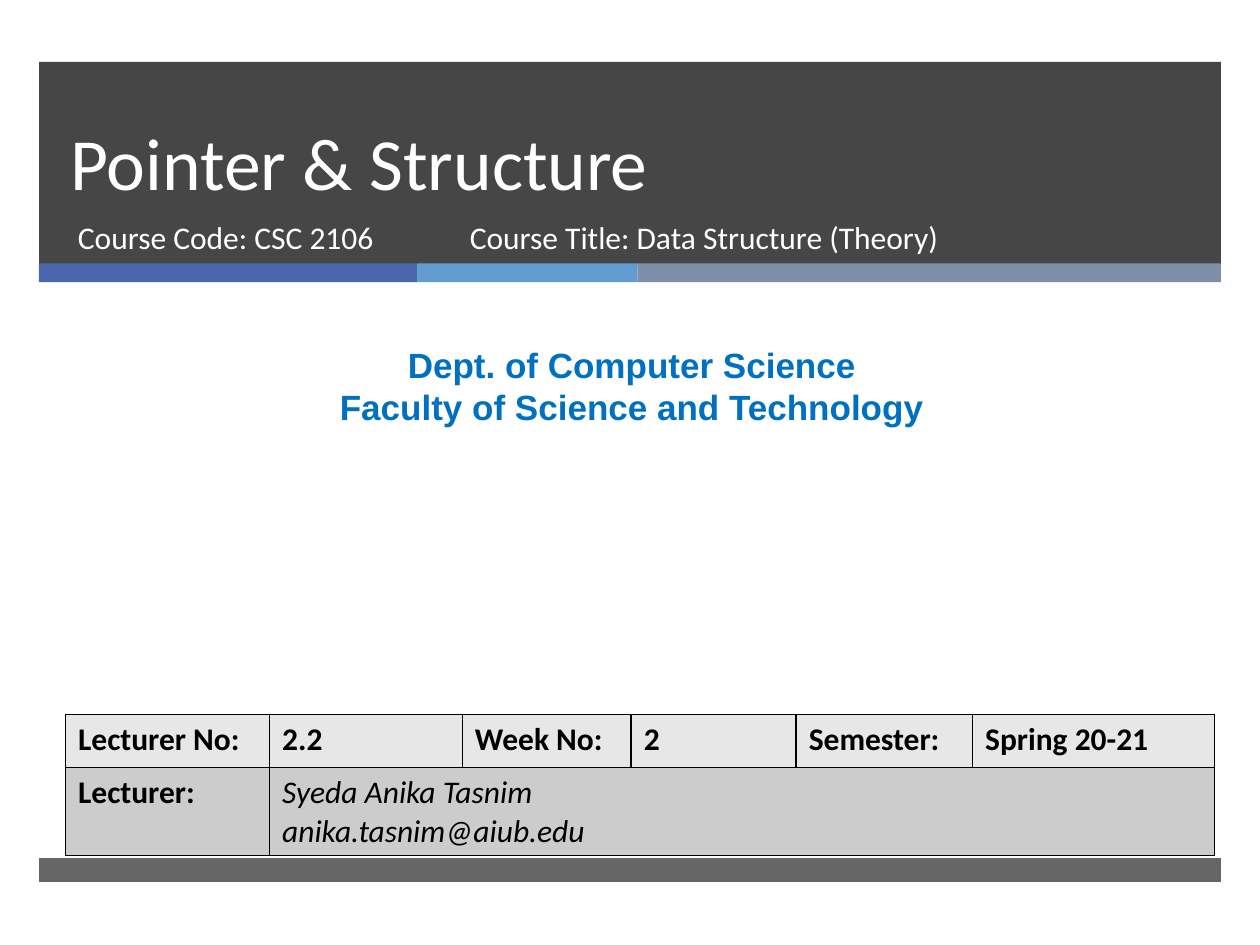
from dataclasses import dataclass

from lxml import etree
from pptx import Presentation
from pptx.dml.color import RGBColor
from pptx.enum.shapes import MSO_SHAPE
from pptx.enum.text import MSO_ANCHOR, PP_ALIGN
from pptx.oxml import parse_xml
from pptx.oxml.ns import nsdecls, qn
from pptx.util import Inches, Pt

RECTANGLE = MSO_SHAPE.RECTANGLE
TOP, BOTTOM = MSO_ANCHOR.TOP, MSO_ANCHOR.BOTTOM
LEFT, CENTER = PP_ALIGN.LEFT, PP_ALIGN.CENTER

GRID_UNIT = 0.1
GRID_COLUMNS, GRID_ROWS = 100, 75


@dataclass(frozen=True)
class Theme:
    dark: str = "262626"
    white: str = "FFFFFF"
    black: str = "000000"
    department: str = "0070C0"
    stripes: tuple = ("4A66AC", "629DD1", "7F8FA9")
    table_rows: tuple = ("E7E7E7", "CCCCCC")
    body_font: str = "Calibri"
    department_font: str = "Arial"
    title_size: int = 42
    title_spacing: int = 46
    department_size: int = 20
    body_size: int = 18
    border_width: int = 1


@dataclass(frozen=True)
class Box:
    column: float
    row: float
    columns: float
    rows: float

    def inside(self, column, row, columns, rows):
        return Box(self.column + column, self.row + row, columns, rows)

    def lengths(self):
        return [units(n) for n in (self.column, self.row, self.columns, self.rows)]


THEME = Theme()


def units(count):
    return Inches(count * GRID_UNIT)


def add_bar(slide, box, color, opacity=100):
    shape = slide.shapes.add_shape(RECTANGLE, *box.lengths())
    shape.shadow.inherit = False
    shape.fill.solid()
    shape.fill.fore_color.rgb = RGBColor.from_string(color)
    shape.line.fill.background()
    if opacity < 100:
        color_element = shape.fill._xPr.find(qn("a:solidFill"))[0]
        etree.SubElement(color_element, qn("a:alpha"), val=str(opacity * 1000))


def write_lines(text_frame, lines, size, color, font=THEME.body_font,
                bold=False, italic=False, align=LEFT, spacing=None):
    for index, line in enumerate(lines):
        paragraph = text_frame.add_paragraph() if index else text_frame.paragraphs[0]
        paragraph.alignment = align
        if spacing:
            paragraph.line_spacing = Pt(spacing)
        run = paragraph.add_run()
        run.text = line
        run.font.name = font
        run.font.size = Pt(size)
        run.font.bold = bold
        run.font.italic = italic
        run.font.color.rgb = RGBColor.from_string(color)


def add_text(slide, box, lines, size, color, anchor=TOP, **style):
    text_frame = slide.shapes.add_textbox(*box.lengths()).text_frame
    text_frame.word_wrap = True
    text_frame.vertical_anchor = anchor
    write_lines(text_frame, lines, size, color, **style)


def add_header(slide, box):
    band_rows = 16.1
    add_bar(slide, box.inside(0, 0, box.columns, band_rows), THEME.dark, 85)
    column = 0
    for width, color in zip((30, 17.5, 46.3), THEME.stripes):
        add_bar(slide, box.inside(column, 16, width, 1.5), color)
        column += width
    add_text(slide, box.inside(1.5, 0, 85.4, 11.9), ["Pointer & Structure"],
             THEME.title_size, THEME.white, BOTTOM, spacing=THEME.title_spacing)
    add_text(slide, box.inside(2.1, 11.9, 30.5, 5.3), ["Course Code: CSC 2106"],
             THEME.body_size, THEME.white)
    add_text(slide, box.inside(33.2, 11.9, 45.5, 5.3),
             ["Course Title: Data Structure (Theory)"], THEME.body_size, THEME.white)


def add_department(slide, box):
    lines = ["Dept. of Computer Science", "Faculty of Science and Technology"]
    add_text(slide, box, lines, THEME.department_size, THEME.department,
             font=THEME.department_font, bold=True, align=CENTER)


def add_borders(cell):
    properties = cell._tc.get_or_add_tcPr()
    for side in ("lnL", "lnR", "lnT", "lnB"):
        properties.append(parse_xml(
            f'<a:{side} {nsdecls("a")} w="{Pt(THEME.border_width)}"><a:solidFill>'
            f'<a:srgbClr val="{THEME.black}"/></a:solidFill></a:{side}>'))


def add_lecture_table(slide, box):
    widths = (16.2, 15.3, 13.4, 13.1, 14, 19.2)
    heights = (4.2, box.rows - 4.2)
    table = slide.shapes.add_table(len(heights), len(widths), *box.lengths()).table
    for column, width in zip(table.columns, widths):
        column.width = units(width)
    for row, height, color in zip(table.rows, heights, THEME.table_rows):
        row.height = units(height)
        for cell in row.cells:
            add_borders(cell)
            cell.fill.solid()
            cell.fill.fore_color.rgb = RGBColor.from_string(color)
    table.cell(1, 1).merge(table.cell(1, len(widths) - 1))

    labels = ("Lecturer No:", "2.2", "Week No:", "2", "Semester:", "Spring 20-21")
    for index, label in enumerate(labels):
        write_lines(table.cell(0, index).text_frame, [label],
                    THEME.body_size, THEME.black, bold=True)
    write_lines(table.cell(1, 0).text_frame, ["Lecturer:"],
                THEME.body_size, THEME.black, bold=True)
    write_lines(table.cell(1, 1).text_frame,
                ["Syeda Anika Tasnim", "anika.tasnim@aiub.edu"],
                THEME.body_size, THEME.black, italic=True)


def main():
    presentation = Presentation()
    presentation.slide_width = units(GRID_COLUMNS)
    presentation.slide_height = units(GRID_ROWS)
    slide = presentation.slides.add_slide(presentation.slide_layouts[6])
    margin = 3.1
    content_columns = GRID_COLUMNS - 2 * margin
    add_header(slide, Box(margin, 4.9, content_columns, 17.5))
    add_bar(slide, Box(margin, 68.1, content_columns, 1.9), THEME.dark, 70)
    add_department(slide, Box(0.8, 26.8, 98.7, 7.7))
    add_lecture_table(slide, Box(5.2, 56.7, 91.2, 11.1))
    presentation.save("out.pptx")


if __name__ == "__main__":
    main()
